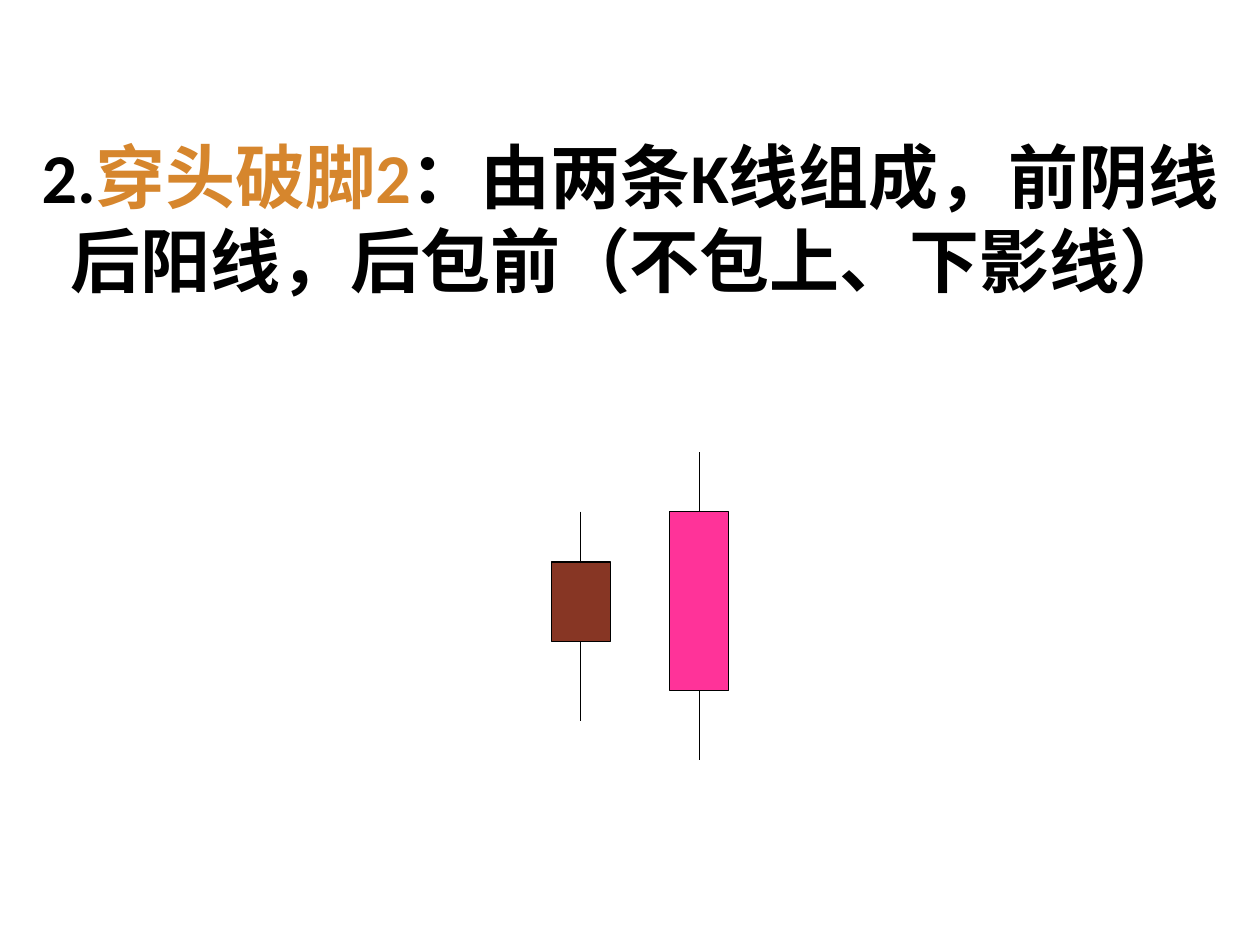
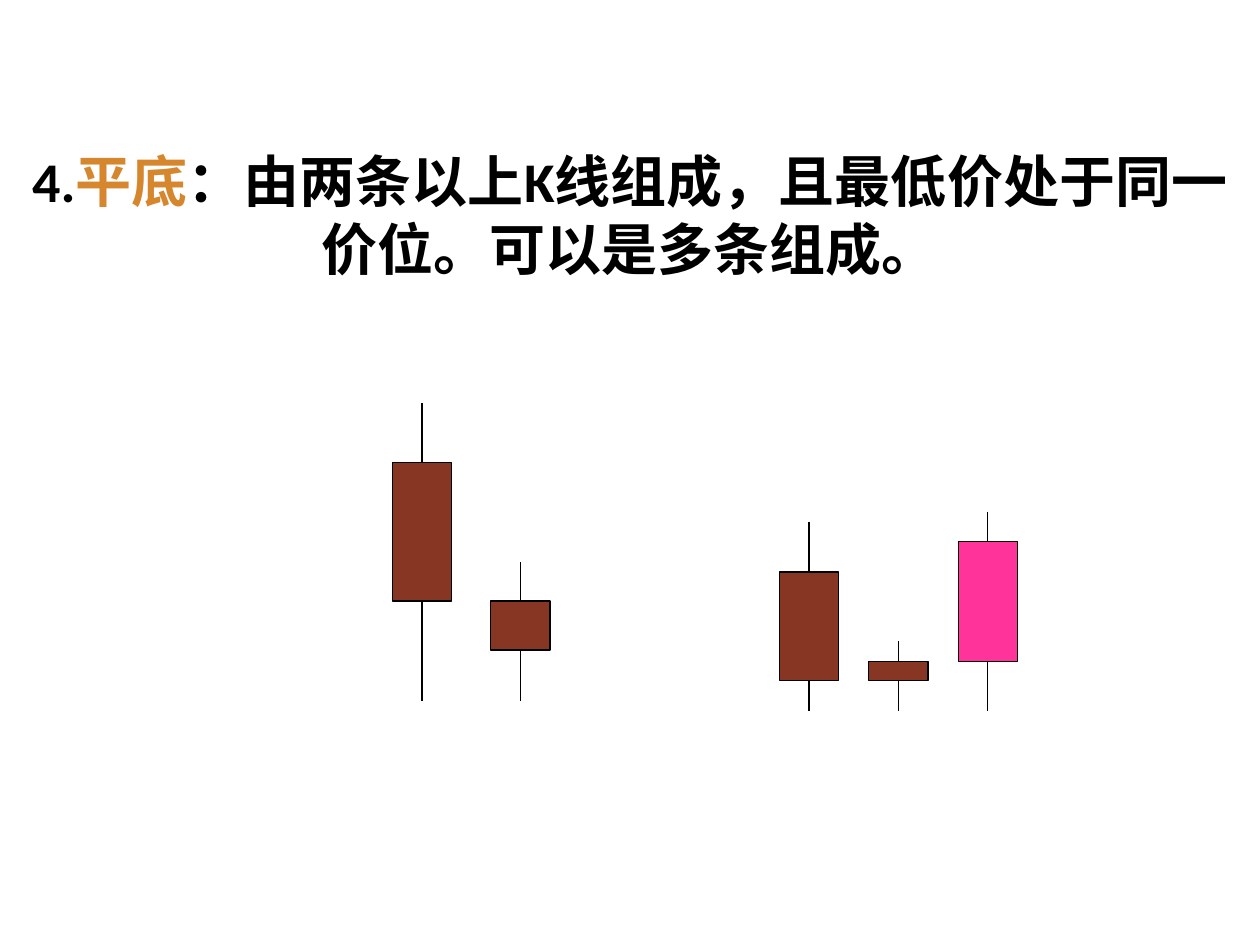
from lxml.etree import SubElement
from pptx import Presentation
from pptx.dml.color import RGBColor
from pptx.enum.shapes import MSO_CONNECTOR, MSO_SHAPE
from pptx.enum.text import MSO_ANCHOR, MSO_AUTO_SIZE, PP_ALIGN
from pptx.oxml.ns import qn
from pptx.util import Inches, Pt

BLACK, GOLD = "000000", "D6862D"
FALL, RISE = "873624", "FF3399"
WIDTH = 0.47


def color(code):
    return RGBColor.from_string(code)


def write(para, text, size=40, ink=BLACK, bold=True, face="Calibri"):
    run = para.add_run()
    run.text = text
    font = run.font
    font.name, font.size, font.bold = face, Pt(size), bold
    font.color.rgb = color(ink)


# Title: top, height, bottom inset, size, number, term, meaning
# Candles: centre, high, body top, body bottom, low, fill
pages = [
    ((0.99, 2.14, 0.72, 40, "2.", "穿头破脚2",
      "：由两条K线组成，前阴线后阳线，后包前（不包上、下影线）"),
     [(4.61, 4.06, 4.46, 5.09, 5.72, FALL),
      (5.55, 3.59, 4.06, 5.48, 6.03, RISE)]),
    ((0.6, 2.2, 0.05, 32, "4.", "平底",
      "：由两条以上K线组成，且最低价处于同一价位。可以是多条组成。"),
     [(3.35, 3.2, 3.67, 4.77, 5.56, FALL),
      (4.13, 4.46, 4.77, 5.16, 5.56, FALL),
      (6.42, 4.14, 4.54, 5.4, 5.64, FALL),
      (7.13, 5.09, 5.25, 5.4, 5.64, FALL),
      (7.84, 4.06, 4.3, 5.25, 5.64, RISE)]),
]

deck = Presentation()
deck.slide_width, deck.slide_height = Inches(10), Inches(7.5)

for (top, height, inset, size, number, term, meaning), candles in pages:
    slide = deck.slides.add_slide(deck.slide_layouts[5])
    title = slide.shapes.title
    title.left, title.top = Inches(0), Inches(top)
    title.width, title.height = Inches(10), Inches(height)
    frame = title.text_frame
    frame.auto_size = MSO_AUTO_SIZE.NONE
    frame.word_wrap = True
    frame.vertical_anchor = MSO_ANCHOR.MIDDLE
    frame.margin_bottom = Inches(inset)
    para = frame.paragraphs[0]
    para.alignment = PP_ALIGN.CENTER
    for text, ink in ((number, BLACK), (term, GOLD), (meaning, BLACK)):
        write(para, text, size=size, ink=ink)

    for mid, high, upper, lower, low, fill in candles:
        body = slide.shapes.add_shape(
            MSO_SHAPE.RECTANGLE, Inches(mid - WIDTH / 2), Inches(upper),
            Inches(WIDTH), Inches(lower - upper))
        body.shadow.inherit = False
        body.fill.solid()
        body.fill.fore_color.rgb = color(fill)
        body.line.color.rgb = color(BLACK)
        body.line.width = Pt(0.75)
        for start, end in ((high, upper), (lower, low)):
            wick = slide.shapes.add_connector(
                MSO_CONNECTOR.STRAIGHT, Inches(mid), Inches(start),
                Inches(mid), Inches(end))
            wick.line.color.rgb = color(BLACK)
            wick.line.width = Pt(0.75)
            SubElement(wick._element.spPr, qn("a:effectLst"))

deck.save("out.pptx")
